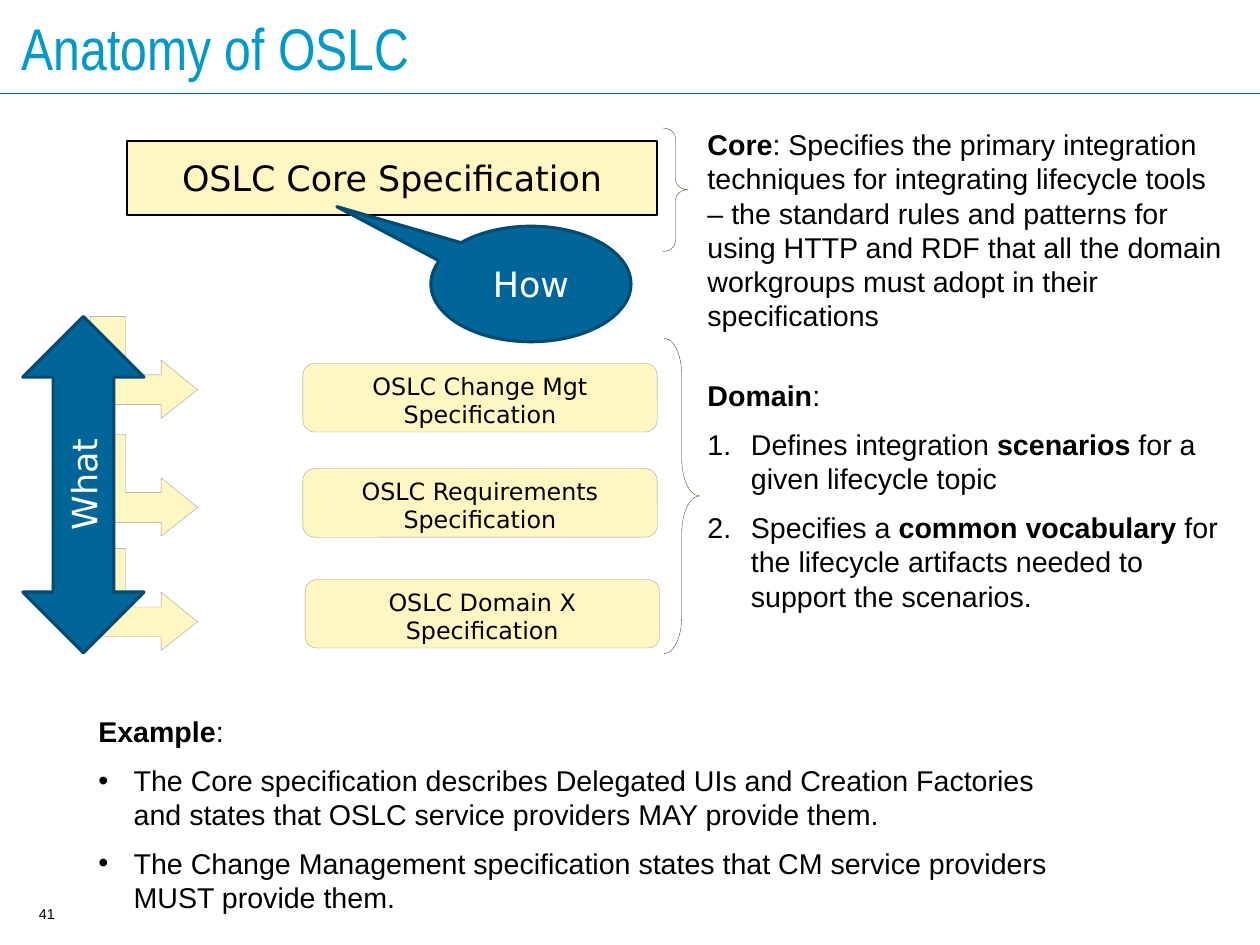
from lxml.etree import SubElement
from pptx import Presentation
from pptx.dml.color import RGBColor
from pptx.enum.shapes import MSO_CONNECTOR, MSO_SHAPE
from pptx.enum.text import MSO_ANCHOR, PP_ALIGN
from pptx.oxml.ns import qn
from pptx.util import Inches, Pt

COLORS = {
    "title": "0099CC", "blue": "006699", "navy": "004B71", "cream": "FFF7C2",
    "gray": "969696", "olive": "333300", "black": "000000", "white": "FFFFFF",
}

PAGE_WIDTH, PAGE_HEIGHT = Inches(28 / 2.54), Inches(21 / 2.54)
TITLE = "Anatomy of OSLC"
PAGE_NUMBER = "41"
CORE_LABEL = "OSLC Core Specification"
DOMAIN_BOXES = [
    ("OSLC Change Mgt Specification", 2.65, 3.18),
    ("OSLC Requirements Specification", 2.65, 4.1),
    ("OSLC Domain X Specification", 2.67, 5.07),
]
BRACES = [((5.8, 1.12, 0.22, 1.08), 0.42), ((5.81, 2.96, 0.31, 2.76), 1.05)]
ELBOW_TOPS = [2.77, 3.8, 4.8]
ELBOW_OUTLINE = [
    (1.73, 0.64), (1.41, 0.38), (1.41, 0.51), (1.1, 0.51), (1.1, 0),
    (0.79, 0), (0.79, 0.77), (1.41, 0.77), (1.41, 0.89),
]
NOTES = [
    ((6.06, 1.04, 4.81, 1.95), None, 0, [
        [("Core", True), (": Specifies the primary integration techniques for integrating "
                          "lifecycle tools – the standard rules and patterns for using HTTP "
                          "and RDF that all the domain workgroups must adopt in their "
                          "specifications", False)],
    ]),
    ((6.06, 3.24, 4.82, 2.25), ("buAutoNum", {"type": "arabicPeriod"}), 0.38, [
        [("Domain", True), (":", False)],
        [("Defines integration ", False), ("scenarios", True),
         (" for a given lifecycle topic", False)],
        [("Specifies a ", False), ("common vocabulary ", True),
         ("for the lifecycle artifacts needed to support the scenarios.", False)],
    ]),
    ((0.73, 6.18, 8.78, 1.95), ("buChar", {"char": "•"}), 0.31, [
        [("Example", True), (":", False)],
        [("The Core specification describes Delegated UIs and Creation Factories and "
          "states that OSLC service providers MAY provide them.", False)],
        [("The Change Management specification states that CM service providers MUST "
          "provide them.", False)],
    ]),
]


def color(name):
    return RGBColor.from_string(COLORS[name])


def apply(target, values):
    for name, value in values.items():
        setattr(target, name, value)


def set_frame(frame, side=0.13, edge=0.07, anchor=MSO_ANCHOR.MIDDLE, wrap=True):
    apply(frame, {
        "margin_left": Inches(side), "margin_right": Inches(side),
        "margin_top": Inches(edge), "margin_bottom": Inches(edge),
        "vertical_anchor": anchor, "word_wrap": wrap,
    })


def add_span(para, text, size, font, ink, bold=False):
    span = para.add_run()
    span.text = text
    apply(span.font, {"size": Pt(size), "name": font, "bold": bold})
    span.font.color.rgb = color(ink)


def paint(shape, fill, line, width):
    shape.shadow.inherit = False
    if fill:
        shape.fill.solid()
        shape.fill.fore_color.rgb = color(fill)
    else:
        shape.fill.background()
    shape.line.color.rgb = color(line)
    shape.line.width = Pt(width)


def add_figure(page, kind, area, fill, line, width, adjustments=()):
    shape = page.shapes.add_shape(kind, *map(Inches, area))
    paint(shape, fill, line, width)
    for index, value in enumerate(adjustments):
        shape.adjustments[index] = value
    return shape


def label(shape, text, size, ink):
    set_frame(shape.text_frame)
    para = shape.text_frame.paragraphs[0]
    para.alignment = PP_ALIGN.CENTER
    add_span(para, text, size, "DejaVu Sans", ink)


def add_caption(page, area, text, size, font, ink, align, wrap):
    box = page.shapes.add_textbox(*map(Inches, area))
    set_frame(box.text_frame, 0.11, 0.06, wrap=wrap)
    para = box.text_frame.paragraphs[0]
    para.alignment = align
    add_span(para, text, size, font, ink)


def add_elbow(page, top):
    points = [(Inches(x), Inches(top + y)) for x, y in ELBOW_OUTLINE]
    builder = page.shapes.build_freeform(*points[0], scale=1.0)
    builder.add_line_segments(points[1:], close=True)
    paint(builder.convert_to_shape(), "cream", "gray", 0.2)


def add_note(page, area, bullet, indent, paragraphs):
    box = page.shapes.add_textbox(*map(Inches, area))
    frame = box.text_frame
    set_frame(frame, anchor=MSO_ANCHOR.TOP)
    for index, spans in enumerate(paragraphs):
        para = frame.add_paragraph() if index else frame.paragraphs[0]
        if index:
            para.space_before = Pt(9)
            properties = para._p.get_or_add_pPr()
            properties.set("marL", str(Inches(indent)))
            properties.set("indent", str(-Inches(indent)))
            tag, values = bullet
            SubElement(properties, qn("a:buFont"), typeface="Arial")
            SubElement(properties, qn(f"a:{tag}"), values)
        for text, bold in spans:
            add_span(para, text, 18, "Arial", "black", bold)


def main():
    deck = Presentation()
    deck.slide_width = PAGE_WIDTH
    deck.slide_height = PAGE_HEIGHT
    page = deck.slides.add_slide(deck.slide_layouts[6])

    rule = page.shapes.add_connector(
        MSO_CONNECTOR.STRAIGHT, 0, Inches(0.82), PAGE_WIDTH, Inches(0.82))
    rule.line.color.rgb = color("blue")
    rule.line.width = Pt(0.75)
    SubElement(rule._element.spPr, qn("a:effectLst"))

    add_caption(page, (0.1, 7.89, 0.62, 0.21), PAGE_NUMBER, 9, "Arial", "black",
                PP_ALIGN.CENTER, False)
    add_caption(page, (0.08, 0.09, 10.85, 0.64), TITLE, 37, "Arial Narrow", "title",
                PP_ALIGN.LEFT, True)

    core = add_figure(page, MSO_SHAPE.RECTANGLE, (1.11, 1.23, 4.64, 0.65),
                      "cream", "black", 1.2)
    label(core, CORE_LABEL, 22, "black")
    for text, left, top in DOMAIN_BOXES:
        domain = add_figure(page, MSO_SHAPE.ROUNDED_RECTANGLE, (left, top, 3.1, 0.6),
                            "cream", "gray", 0.2, [0.17])
        label(domain, text, 15, "black")
        domain.text_frame.margin_top = Inches(0.11)
    for area, curve in BRACES:
        add_figure(page, MSO_SHAPE.RIGHT_BRACE, area, None, "olive", 0.2, [curve, 0.5])
    for top in ELBOW_TOPS:
        add_elbow(page, top)

    how = add_figure(page, MSO_SHAPE.OVAL_CALLOUT, (3.77, 1.98, 1.75, 1.01),
                     "blue", "navy", 2, [-0.97, -0.67])
    label(how, "How", 22, "white")
    what = add_figure(page, MSO_SHAPE.UP_DOWN_ARROW, (0.2, 2.77, 1.06, 2.94),
                      "blue", "navy", 2)
    label(what, "What", 22, "white")
    what.text_frame._txBody.bodyPr.set("vert", "vert270")

    for note in NOTES:
        add_note(page, *note)
    deck.save("out.pptx")


if __name__ == "__main__":
    main()
